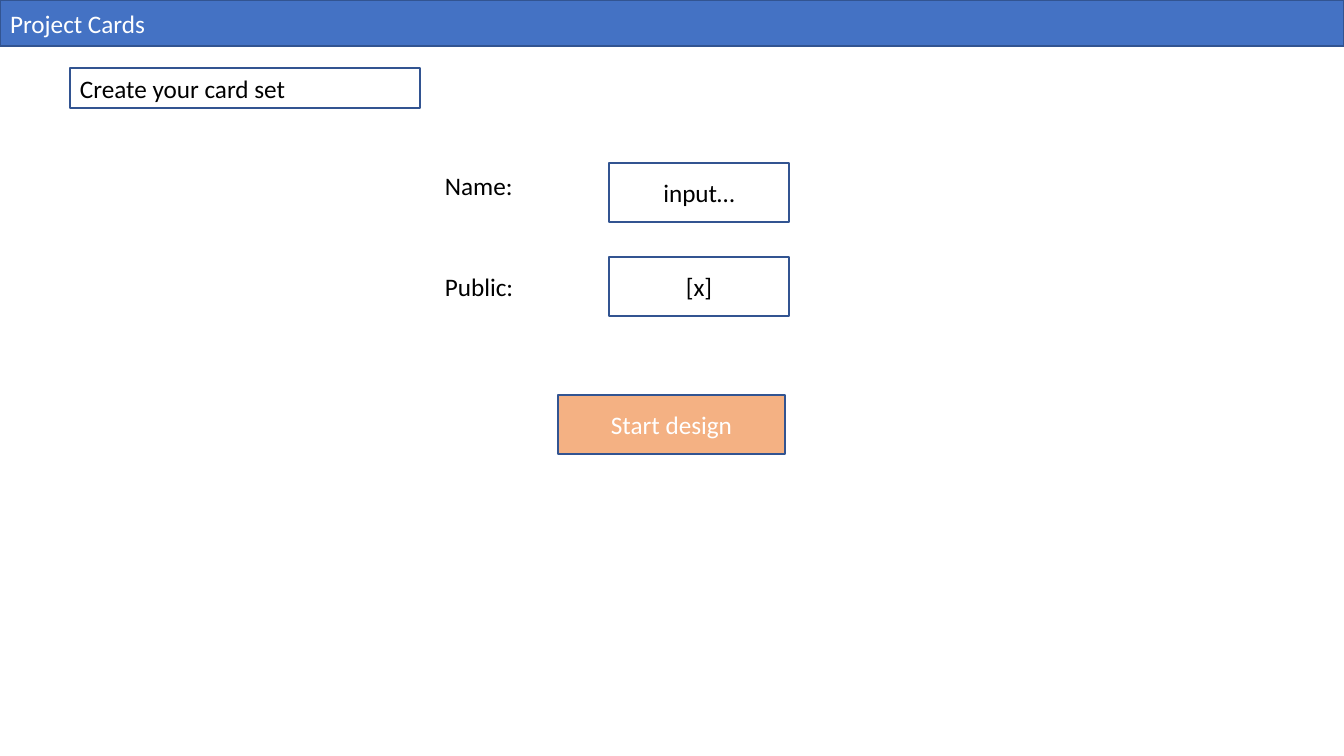
import pptx
import pptx.dml.color
import pptx.enum.shapes
import pptx.enum.text
import pptx.util

SCALE = 914400 / 100.8  # EMU per px
PAGE_WIDTH, PAGE_HEIGHT = 1344, 756
FONT, FONT_SIZE = "Calibri", 18
COLOURS = {
    "bar": "4472C4",
    "outline": "325491",
    "button": "F4B183",
    "white": "FFFFFF",
    "black": "000000",
}
ALIGN = pptx.enum.text.PP_ALIGN
ANCHOR = pptx.enum.text.MSO_ANCHOR

# Content: places are left, top, width, height in px
TITLE = ("Project Cards", (0, 0, PAGE_WIDTH, 46))
HEADING = ("Create your card set", (70, 68, 350, 40))
BUTTON = ("Start design", (558, 395, 227, 59))
# label, label top, label width, field text, field top
FORM_ROWS = [
    ("Name:", 165, 146, "input…", 163),
    ("Public:", 266, 160, "[x]", 257),
]
LABEL_LEFT, LABEL_HEIGHT = 435, 40
FIELD_LEFT, FIELD_WIDTH, FIELD_HEIGHT = 609, 180, 59


def emu(px):
    return pptx.util.Emu(round(px * SCALE))


def colour(name):
    return pptx.dml.color.RGBColor.from_string(COLOURS[name])


def write(box, text, ink, align, anchor):
    frame = box.text_frame
    frame.word_wrap = True
    frame.auto_size = pptx.enum.text.MSO_AUTO_SIZE.NONE
    frame.vertical_anchor = anchor
    para = frame.paragraphs[0]
    para.alignment = align
    span = para.add_run()
    span.text = text
    span.font.name = FONT
    span.font.size = pptx.util.Pt(FONT_SIZE)
    span.font.color.rgb = colour(ink)


def paint(box, fill):
    box.fill.solid()
    box.fill.fore_color.rgb = colour(fill)
    box.line.color.rgb = colour("outline")
    box.line.width = pptx.util.Pt(1)


def add_panel(page, text, place, fill, ink, align):
    box = page.shapes.add_shape(
        pptx.enum.shapes.MSO_SHAPE.RECTANGLE, *map(emu, place))
    box.shadow.inherit = False
    paint(box, fill)
    write(box, text, ink, align, ANCHOR.MIDDLE)


def add_label(page, text, place):
    box = page.shapes.add_textbox(*map(emu, place))
    write(box, text, "black", ALIGN.LEFT, ANCHOR.TOP)


def main():
    deck = pptx.Presentation()
    deck.slide_width, deck.slide_height = emu(PAGE_WIDTH), emu(PAGE_HEIGHT)
    page = deck.slides.add_slide(deck.slide_layouts[5])

    # Title bar
    text, place = TITLE
    bar = page.shapes.title
    bar.left, bar.top, bar.width, bar.height = map(emu, place)
    paint(bar, "bar")
    write(bar, text, "white", ALIGN.LEFT, ANCHOR.MIDDLE)

    # Heading and button
    add_panel(page, *HEADING, "white", "black", ALIGN.LEFT)
    add_panel(page, *BUTTON, "button", "white", ALIGN.CENTER)

    # Form rows
    for label, label_top, label_width, field, field_top in FORM_ROWS:
        add_label(page, label, (LABEL_LEFT, label_top, label_width, LABEL_HEIGHT))
        add_panel(page, field, (FIELD_LEFT, field_top, FIELD_WIDTH, FIELD_HEIGHT),
                  "white", "black", ALIGN.CENTER)

    deck.save("out.pptx")


if __name__ == "__main__":
    main()
